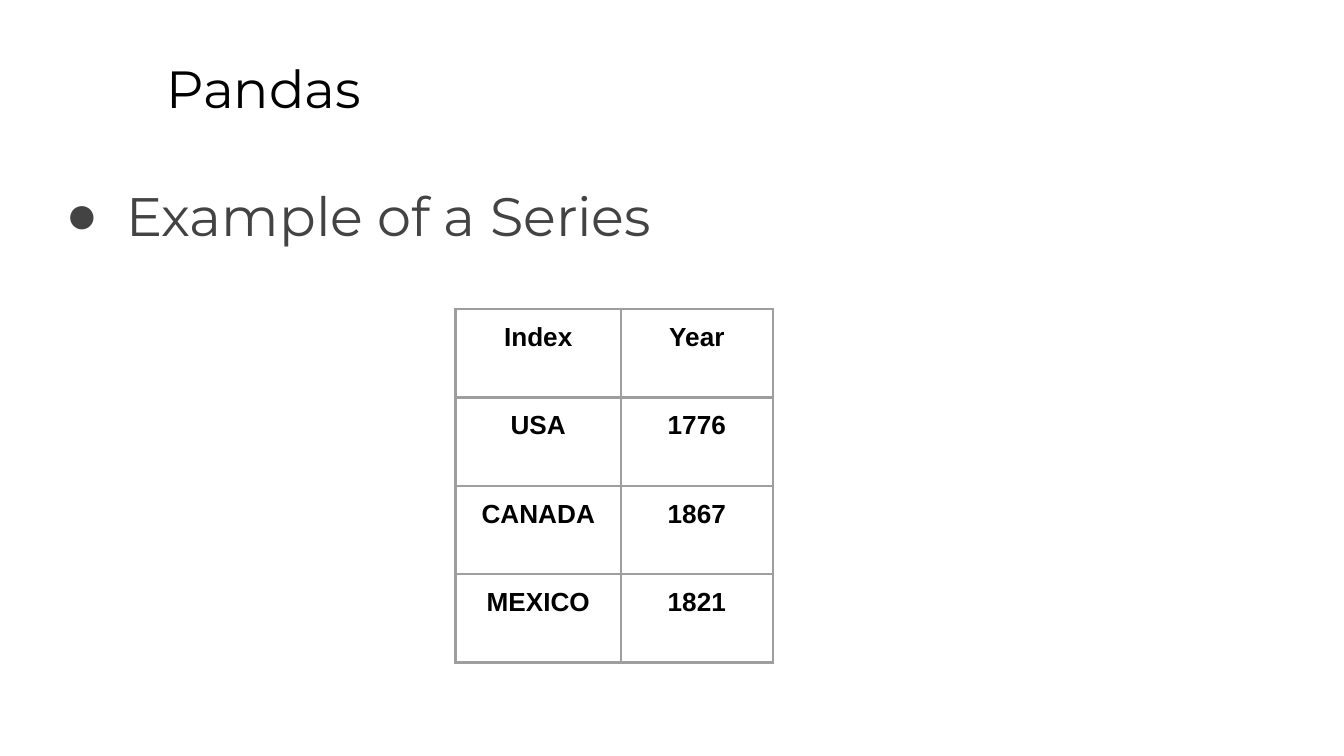
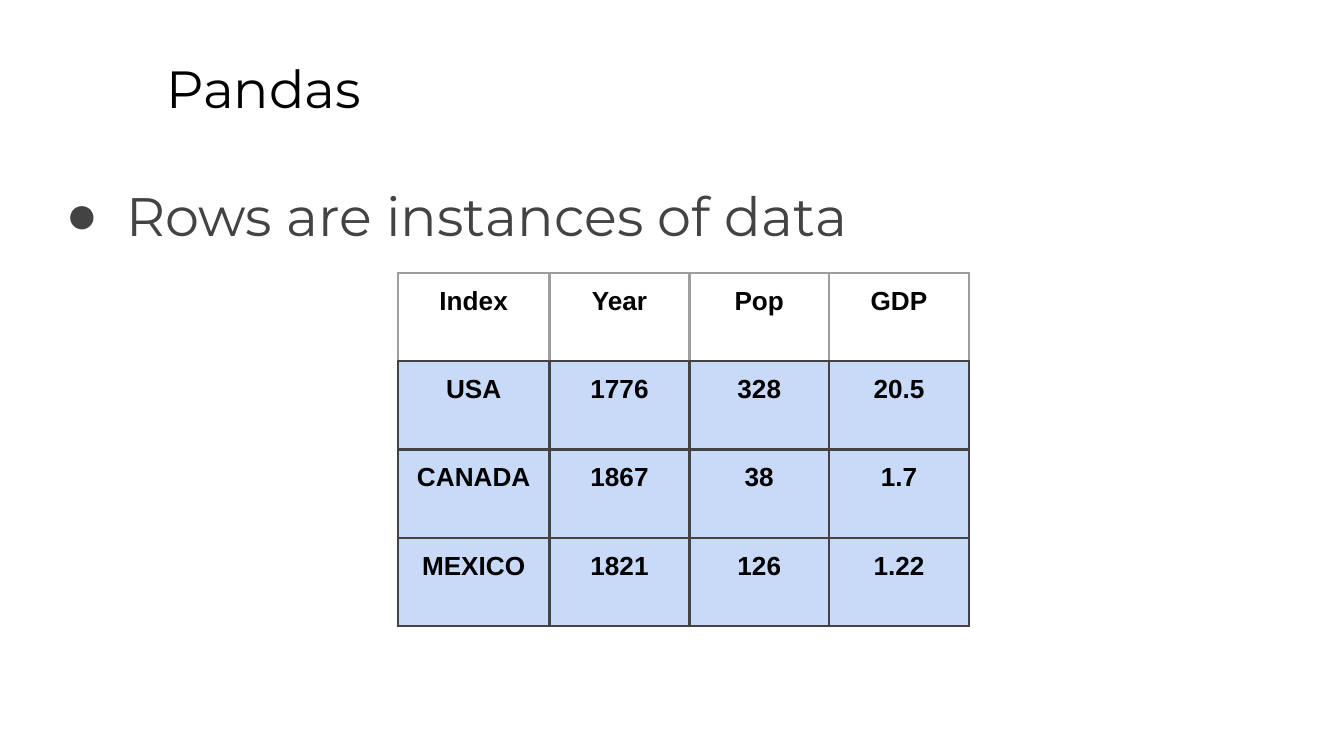
"""Build two slides on Pandas tables: a Series and rows as instances of data."""
from dataclasses import dataclass

import pptx
import pptx.dml.color
import pptx.enum.text
import pptx.oxml
import pptx.oxml.ns
import pptx.presentation
import pptx.slide
import pptx.table
import pptx.text.text
import pptx.util
from pptx.util import Inches


@dataclass(frozen=True)
class Theme:
    background: str = "FFFFFF"
    title_color: str = "000000"
    point_color: str = "434343"
    cell_color: str = "000000"
    grid: str = "9E9E9E"
    marked_grid: str = "434343"
    marked_fill: str = "C9DAF8"
    heading_font: str = "Montserrat"
    bullet_font: str = "Arial"
    cell_font: str = "Arial"
    title_size: int = 28
    point_size: int = 29
    cell_size: int = 14
    grid_width: float = 1.5
    inset: pptx.util.Length = Inches(0.1)


@dataclass(frozen=True)
class DataTable:
    left: pptx.util.Length
    top: pptx.util.Length
    index_width: pptx.util.Length
    value_width: pptx.util.Length
    rows: tuple[tuple[str, ...], ...]
    marks_instances: bool = False


@dataclass(frozen=True)
class Lesson:
    title: str
    point: str
    data: DataTable


THEME = Theme()
TABLE_HEIGHT = Inches(2.63)
LESSONS = (
    Lesson("Pandas", "Example of a Series", DataTable(
        Inches(3.39), Inches(2.3), Inches(1.23), Inches(1.13),
        (("Index", "Year"),
         ("USA", "1776"),
         ("CANADA", "1867"),
         ("MEXICO", "1821")))),
    Lesson("Pandas", "Rows are instances of data", DataTable(
        Inches(2.96), Inches(2.03), Inches(1.13), Inches(1.04),
        (("Index", "Year", "Pop", "GDP"),
         ("USA", "1776", "328", "20.5"),
         ("CANADA", "1867", "38", "1.7"),
         ("MEXICO", "1821", "126", "1.22")),
        marks_instances=True)),
)


def rgb(color: str) -> pptx.dml.color.RGBColor:
    return pptx.dml.color.RGBColor.from_string(color)


def add_run(paragraph: pptx.text.text._Paragraph, text: str, font: str,
            size: int, color: str, bold: bool = False) -> None:
    run = paragraph.add_run()
    run.text = text
    run.font.name = font
    run.font.size = pptx.util.Pt(size)
    run.font.bold = bold
    run.font.color.rgb = rgb(color)


def add_heading(slide: pptx.slide.Slide, text: str, left: pptx.util.Length,
                top: pptx.util.Length, width: pptx.util.Length,
                height: pptx.util.Length, size: int,
                color: str) -> pptx.text.text._Paragraph:
    frame = slide.shapes.add_textbox(left, top, width, height).text_frame
    frame.word_wrap = True
    frame.margin_left = frame.margin_right = THEME.inset
    frame.margin_top = frame.margin_bottom = THEME.inset
    paragraph = frame.paragraphs[0]
    add_run(paragraph, text, THEME.heading_font, size, color)
    return paragraph


def add_bullet(paragraph: pptx.text.text._Paragraph, color: str) -> None:
    properties = paragraph._p.get_or_add_pPr()
    properties.set("marL", str(Inches(0.5)))
    properties.set("indent", str(Inches(-0.45)))
    namespace = pptx.oxml.ns.nsdecls("a")
    for xml in (f'<a:buClr {namespace}><a:srgbClr val="{color}"/></a:buClr>',
                f'<a:buFont {namespace} typeface="{THEME.bullet_font}"/>',
                f'<a:buChar {namespace} char="●"/>'):
        properties.append(pptx.oxml.parse_xml(xml))


def add_border(cell: pptx.table._Cell, side: str, color: str) -> None:
    namespace = pptx.oxml.ns.nsdecls("a")
    cell._tc.get_or_add_tcPr().append(pptx.oxml.parse_xml(
        f'<a:ln{side} {namespace} w="{pptx.util.Pt(THEME.grid_width)}">'
        f'<a:solidFill><a:srgbClr val="{color}"/></a:solidFill></a:ln{side}>'))


def fill_cell(cell: pptx.table._Cell, text: str, side_color: str,
              bottom_color: str, marked: bool) -> None:
    cell.margin_left = cell.margin_right = THEME.inset
    cell.margin_top = cell.margin_bottom = THEME.inset
    for side in "LRT":
        add_border(cell, side, side_color)
    add_border(cell, "B", bottom_color)
    if marked:
        cell.fill.solid()
        cell.fill.fore_color.rgb = rgb(THEME.marked_fill)
    else:
        cell.fill.background()
    paragraph = cell.text_frame.paragraphs[0]
    paragraph.alignment = pptx.enum.text.PP_ALIGN.CENTER
    add_run(paragraph, text, THEME.cell_font, THEME.cell_size,
            THEME.cell_color, bold=True)


def add_data_table(slide: pptx.slide.Slide, data: DataTable) -> None:
    value_count = len(data.rows[0]) - 1
    widths = [data.index_width] + [data.value_width] * value_count
    table = slide.shapes.add_table(
        len(data.rows), len(widths), data.left, data.top,
        sum(widths), TABLE_HEIGHT).table
    table.first_row = table.horz_banding = False
    for column, width in zip(table.columns, widths):
        column.width = width
    instance_grid = THEME.marked_grid if data.marks_instances else THEME.grid
    for row_index, values in enumerate(data.rows):
        is_instance = row_index > 0
        side_color = instance_grid if is_instance else THEME.grid
        for column_index, value in enumerate(values):
            fill_cell(table.cell(row_index, column_index), value, side_color,
                      instance_grid, is_instance and data.marks_instances)


def add_lesson(deck: pptx.presentation.Presentation, lesson: Lesson) -> None:
    slide = deck.slides.add_slide(deck.slide_layouts[6])
    slide.background.fill.solid()
    slide.background.fill.fore_color.rgb = rgb(THEME.background)
    add_heading(slide, lesson.title, Inches(1.14), Inches(0.32), Inches(8.52),
                Inches(0.63), THEME.title_size, THEME.title_color)
    point = add_heading(slide, lesson.point, Inches(0.34), Inches(1.26),
                        Inches(9.5), Inches(3.74), THEME.point_size,
                        THEME.point_color)
    add_bullet(point, THEME.point_color)
    add_data_table(slide, lesson.data)


def main() -> None:
    deck = pptx.Presentation()
    deck.slide_width = Inches(10)
    deck.slide_height = Inches(10) * 9 // 16
    for lesson in LESSONS:
        add_lesson(deck, lesson)
    deck.save("out.pptx")


if __name__ == "__main__":
    main()
